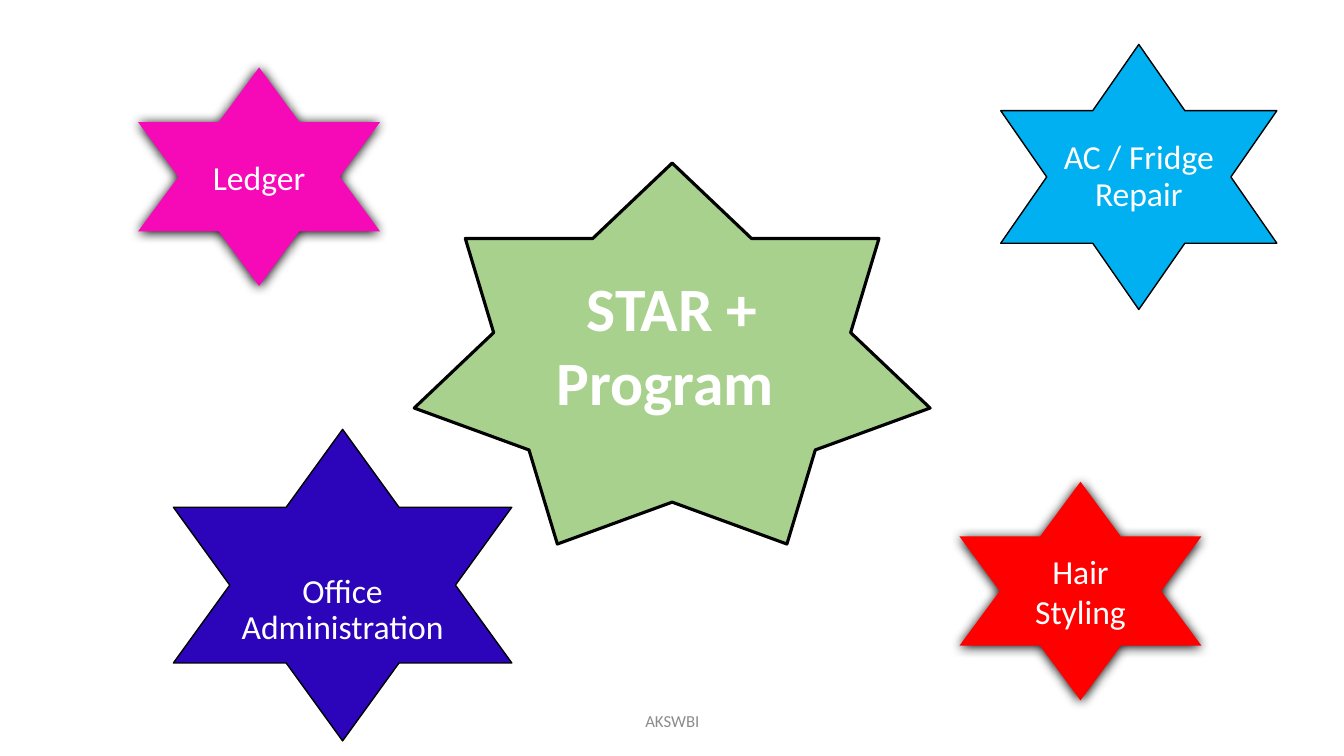
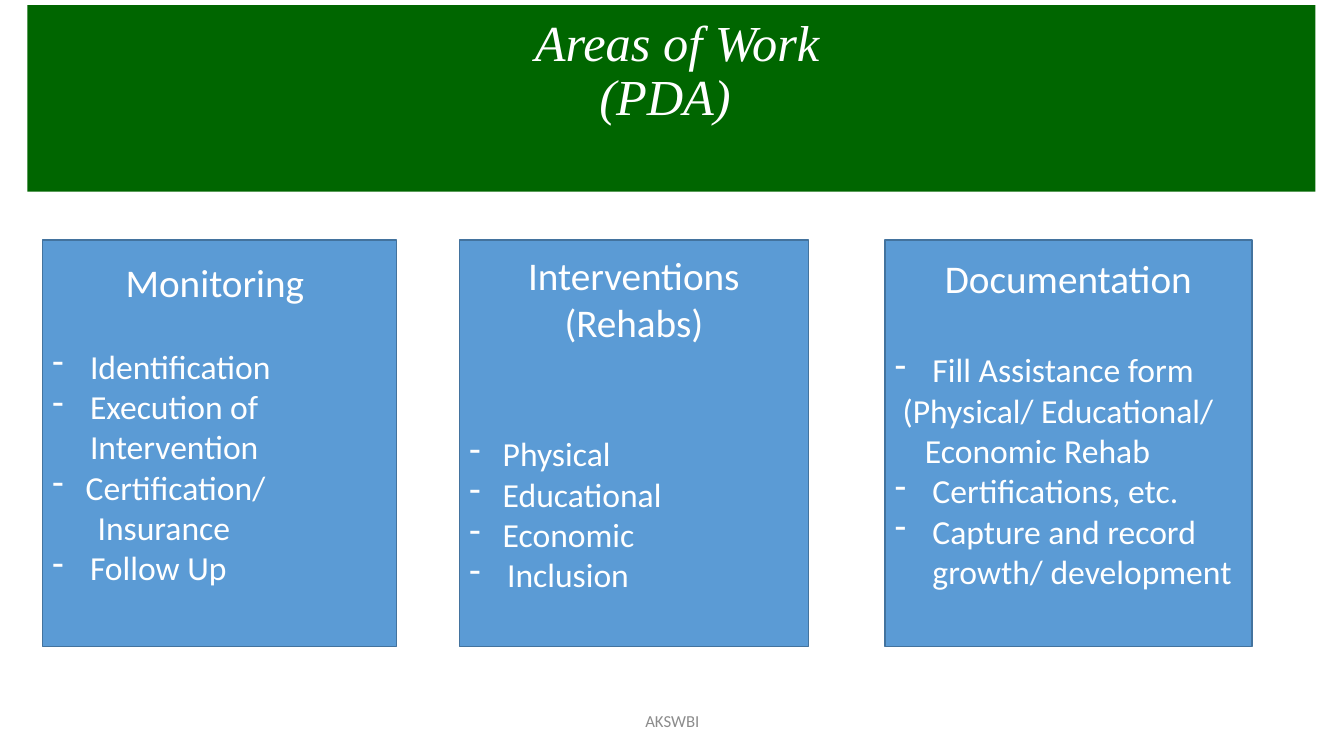
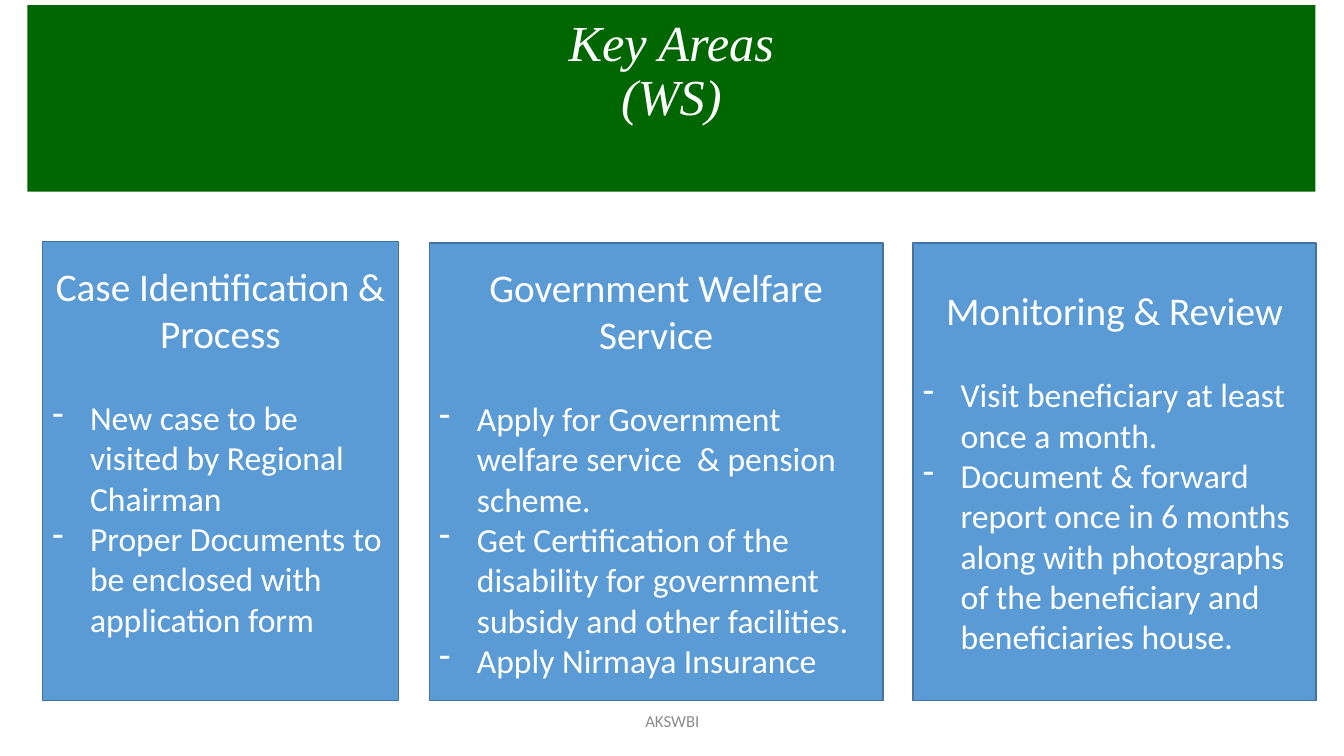
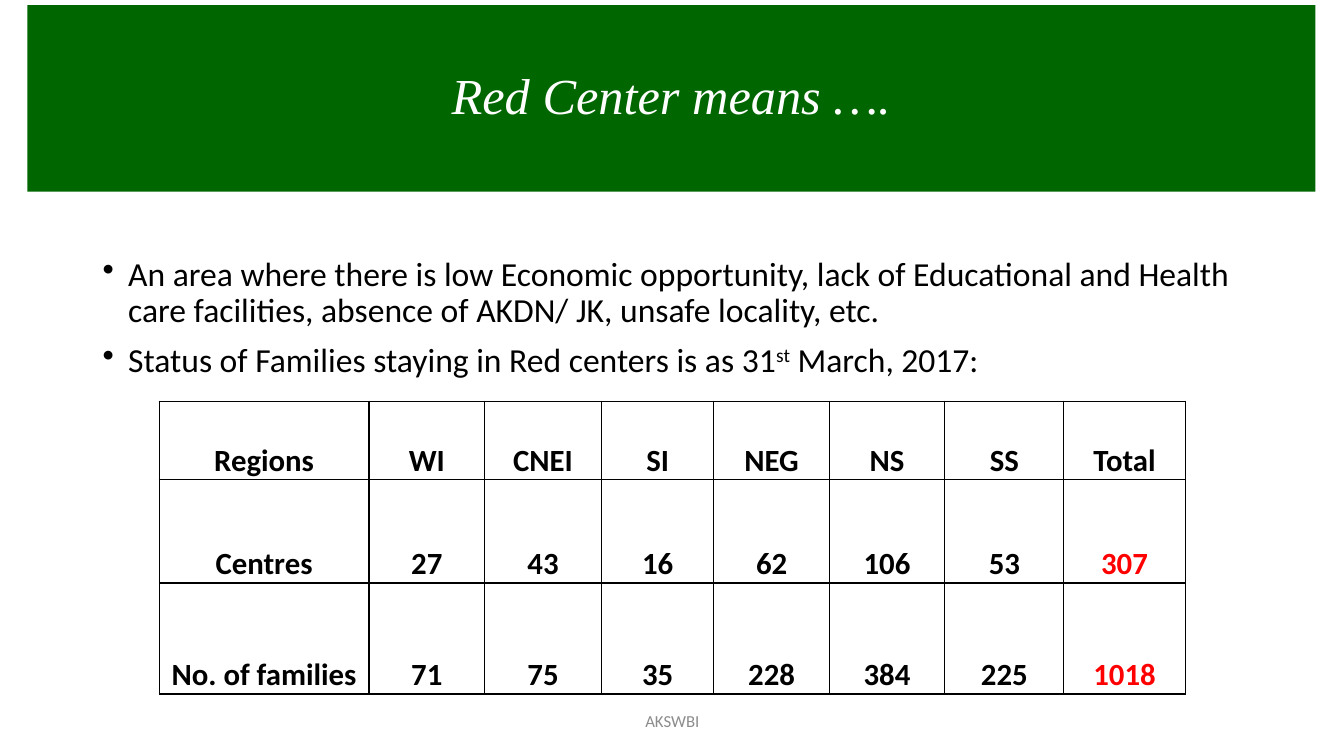
"""Build four slides on the STAR + program, areas of work and Red Centers."""
from typing import NamedTuple, Optional

from lxml.etree import SubElement
from pptx import Presentation
from pptx.dml.color import RGBColor
from pptx.enum.shapes import MSO_SHAPE
from pptx.enum.text import MSO_ANCHOR, PP_ALIGN
from pptx.oxml.ns import qn
from pptx.util import Cm, Pt

WHITE = RGBColor(0xFF, 0xFF, 0xFF)
BLACK = RGBColor(0x00, 0x00, 0x00)
RED = RGBColor(0xFF, 0x00, 0x00)
GREY = RGBColor(0x8C, 0x8C, 0x8C)
BAND_GREEN = RGBColor(0x00, 0x66, 0x00)
CARD_BLUE = RGBColor(0x5B, 0x9B, 0xD5)
CARD_EDGE = RGBColor(0x43, 0x73, 0x9E)
LEAF = RGBColor(0xA9, 0xD1, 0x8E)
PINK = RGBColor(0xF6, 0x0A, 0xB8)
SKY = RGBColor(0x00, 0xB0, 0xF0)
INDIGO = RGBColor(0x2C, 0x05, 0xBB)

BODY_FONT = "Calibri"
TITLE_FONT = "Times New Roman"
INSET = 0.13
HANGING = 0.95
TYPED_HANGING = 0.84
BLANK_LINE = 1.03


class Box(NamedTuple):
    left: float
    top: float
    width: float
    height: float


class Star(NamedTuple):
    text: str
    box: Box
    fill: RGBColor
    line_width: float = 0
    points: MSO_SHAPE = MSO_SHAPE.STAR_6_POINT
    size: float = 24
    bold: bool = False
    line_spacing: float = 1
    pad_top: float = INSET


class Item(NamedTuple):
    text: str
    indent: float = HANGING
    bullet: str = "-"


class Card(NamedTuple):
    headings: list[str]
    items: list[Item]
    box: Box
    gap: float = 29
    pad_bottom: float = INSET


FOOTER_BOX = Box(11.23, 17.65, 11.43, 1.02)
BAND_BOX = Box(0.69, 0.13, 32.46, 4.7)

STARS = [
    Star("STAR + Program ", Box(10.44, 4.11, 13, 9.6), LEAF, 2.25,
         MSO_SHAPE.STAR_7_POINT, 44, True),
    Star("Ledger", Box(3.48, 1.7, 6.1, 5.51), PINK),
    Star("AC / Fridge Repair", Box(25.22, 1.12, 6.96, 6.68), SKY, 1, line_spacing=0.9),
    Star("Office Administration", Box(4.37, 10.82, 8.53, 7.85), INDIGO, 1,
         line_spacing=0.9, pad_top=1.41),
    Star("Hair Styling", Box(24.18, 12.14, 6.1, 5.51), RED),
]

WORK_CARDS = [
    Card(["Monitoring "], [
        Item("Identification"),
        Item("Execution of Intervention"),
        Item("Certification/", TYPED_HANGING),
        Item("Insurance", 1.14, ""),
        Item("Follow Up"),
    ], Box(1.07, 6.05, 8.92, 10.24), pad_bottom=INSET + BLANK_LINE),
    Card(["Interventions", "(Rehabs)"], [
        Item("Physical", TYPED_HANGING),
        Item("Educational", TYPED_HANGING),
        Item("Economic", TYPED_HANGING),
        Item("Inclusion"),
    ], Box(11.58, 6.05, 8.79, 10.24), gap=63, pad_bottom=INSET + BLANK_LINE),
    Card(["Documentation"], [
        Item("Fill Assistance form"),
        Item("(Physical/ Educational/", 0.2, ""),
        Item("Economic Rehab", 0.76, ""),
        Item("Certifications, etc."),
        Item("Capture and record growth/ development"),
    ], Box(22.3, 6.05, 9.25, 10.24), gap=34, pad_bottom=INSET + BLANK_LINE),
]

KEY_CARDS = [
    Card(["Case Identification & Process"], [
        Item("New case to be visited by Regional Chairman"),
        Item("Proper Documents to be enclosed with application form"),
    ], Box(1.07, 6.08, 8.97, 11.58), pad_bottom=INSET + BLANK_LINE),
    Card(["Government Welfare Service"], [
        Item("Apply for Government welfare service  & pension scheme."),
        Item("Get Certification of the disability for government subsidy"
             " and other facilities."),
        Item("Apply Nirmaya Insurance"),
    ], Box(10.82, 6.12, 11.43, 11.53)),
    Card(["Monitoring & Review"], [
        Item("Visit beneficiary at least once a month."),
        Item("Document & forward report once in 6 months along with photographs"
             " of the beneficiary and beneficiaries house."),
    ], Box(23.01, 6.12, 10.16, 11.53)),
]

RED_CENTER_POINTS = [
    "An area where there is low Economic opportunity, lack of Educational and Health"
    " care facilities, absence of AKDN/ JK, unsafe locality, etc.",
    "Status of Families staying in Red centers is as 31^st^ March, 2017:",
]
REGION_ROWS = [
    ["Regions", "WI", "CNEI", "SI", "NEG", "NS", "SS", "Total"],
    ["Centres", "27", "43", "16", "62", "106", "53", "307"],
    ["No. of families", "71", "75", "35", "228", "384", "225", "1018"],
]
REGION_WIDTHS = [5.29, 2.91, 2.95, 2.83, 2.91, 2.91, 3, 3.06]
REGION_HEIGHTS = [1.98, 2.6, 2.8]


def place(box: Box) -> list[Cm]:
    """Return the four lengths of a box."""
    return [Cm(value) for value in box]


def add_text(frame, text: str, *, size: float = 24, color: RGBColor = WHITE,
             font: str = BODY_FONT, bold: bool = False, italic: bool = False,
             align: PP_ALIGN = PP_ALIGN.CENTER, line_spacing: float = 1,
             space_before: float = 0, indent: float = 0, bullet: str = "") -> None:
    """Add one paragraph to a frame; parts between carets are superscript."""
    first = frame.paragraphs[0]
    paragraph = frame.add_paragraph() if first.runs else first
    properties = paragraph._p.get_or_add_pPr()
    properties.set("marL", str(Cm(indent)))
    properties.set("indent", str(-Cm(indent) if bullet else 0))
    if bullet:
        SubElement(properties, qn("a:buChar")).set("char", bullet)
    else:
        SubElement(properties, qn("a:buNone"))
    paragraph.alignment = align
    paragraph.line_spacing = line_spacing
    paragraph.space_before = Pt(space_before)
    for position, part in enumerate(text.split("^")):
        run = paragraph.add_run()
        run.text = part
        run.font.name = font
        run.font.size = Pt(size)
        run.font.bold = bold
        run.font.italic = italic
        run.font.color.rgb = color
        if position % 2:
            run._r.get_or_add_rPr().set("baseline", "30000")


def add_panel(slide, kind: MSO_SHAPE, box: Box, fill: RGBColor,
              line: Optional[RGBColor] = None, line_width: float = 1,
              pad_top: float = INSET, pad_bottom: float = INSET):
    """Draw a filled shape with middle-anchored text and return it."""
    panel = slide.shapes.add_shape(kind, *place(box))
    panel.shadow.inherit = False
    panel.fill.solid()
    panel.fill.fore_color.rgb = fill
    if line is None:
        panel.line.fill.background()
    else:
        panel.line.color.rgb = line
        panel.line.width = Pt(line_width)
    frame = panel.text_frame
    frame.word_wrap = True
    frame.vertical_anchor = MSO_ANCHOR.MIDDLE
    frame.margin_top = Cm(pad_top)
    frame.margin_bottom = Cm(pad_bottom)
    return panel


def add_shadow(shape) -> None:
    """Give a shape a soft black shadow below it."""
    effects = shape._element.spPr.find(qn("a:effectLst"))
    shadow = SubElement(effects, qn("a:outerShdw"), blurRad=str(Pt(8.5)),
                        dist=str(Pt(1)), dir="5400000", algn="ctr", rotWithShape="0")
    SubElement(shadow, qn("a:srgbClr"), val=str(BLACK))


def add_star(slide, star: Star) -> None:
    """Draw a star, outlined when it has a line width and shadowed otherwise."""
    edge = BLACK if star.line_width else None
    panel = add_panel(slide, star.points, star.box, star.fill, edge, star.line_width,
                      pad_top=star.pad_top)
    if edge is None:
        add_shadow(panel)
    add_text(panel.text_frame, star.text, size=star.size, bold=star.bold,
             line_spacing=star.line_spacing)


def add_card(slide, card: Card) -> None:
    """Draw a blue card with its headings and list."""
    frame = add_panel(slide, MSO_SHAPE.RECTANGLE, card.box, CARD_BLUE, CARD_EDGE,
                      pad_bottom=card.pad_bottom).text_frame
    for heading in card.headings:
        add_text(frame, heading, size=28)
    for position, item in enumerate(card.items):
        add_text(frame, item.text, align=PP_ALIGN.LEFT, indent=item.indent,
                 bullet=item.bullet, space_before=0 if position else card.gap)


def add_title(slide, lines: list[str], pad_bottom: float = INSET) -> None:
    """Draw the green title band."""
    band = add_panel(slide, MSO_SHAPE.RECTANGLE, BAND_BOX, BAND_GREEN,
                     pad_bottom=pad_bottom)
    for line in lines:
        add_text(band.text_frame, line, size=36, font=TITLE_FONT, italic=True,
                 line_spacing=0.9)


def add_slide(deck):
    """Add a blank slide with the shared footer."""
    slide = deck.slides.add_slide(deck.slide_layouts[6])
    frame = slide.shapes.add_textbox(*place(FOOTER_BOX)).text_frame
    frame.word_wrap = True
    frame.vertical_anchor = MSO_ANCHOR.MIDDLE
    add_text(frame, "AKSWBI", size=12, color=GREY)
    return slide


def add_card_slide(deck, title: list[str], cards: list[Card]) -> None:
    """Add a slide with a two-line title and three cards."""
    slide = add_slide(deck)
    add_title(slide, title, pad_bottom=1.44)
    for card in cards:
        add_card(slide, card)


def add_borders(cell) -> None:
    """Draw thin black borders on all sides of a cell."""
    properties = cell._tc.get_or_add_tcPr()
    for position, side in enumerate(("a:lnL", "a:lnR", "a:lnT", "a:lnB")):
        border = properties.makeelement(qn(side), {"w": str(Pt(1))})
        properties.insert(position, border)
        solid = SubElement(border, qn("a:solidFill"))
        SubElement(solid, qn("a:srgbClr"), val=str(BLACK))


def add_region_table(slide) -> None:
    """Draw the table of centres and families by region."""
    box = Box(4.01, 10.11, sum(REGION_WIDTHS), sum(REGION_HEIGHTS))
    table = slide.shapes.add_table(len(REGION_ROWS), len(REGION_WIDTHS),
                                   *place(box)).table
    for column, width in zip(table.columns, REGION_WIDTHS):
        column.width = Cm(width)
    for row, height, values in zip(table.rows, REGION_HEIGHTS, REGION_ROWS):
        row.height = Cm(height)
        for cell, value in zip(row.cells, values):
            cell.fill.solid()
            cell.fill.fore_color.rgb = WHITE
            cell.vertical_anchor = MSO_ANCHOR.BOTTOM
            cell.margin_left = cell.margin_right = cell.margin_top = Cm(0.03)
            cell.margin_bottom = Cm(0)
            is_total = value == values[-1] and values is not REGION_ROWS[0]
            add_text(cell.text_frame, value, size=22, bold=True,
                     color=RED if is_total else BLACK)
            add_borders(cell)


def add_red_center_slide(deck) -> None:
    """Add the slide that explains Red Centers."""
    slide = add_slide(deck)
    add_title(slide, ["Red Center means …."])
    frame = slide.shapes.add_textbox(*place(Box(2.34, 6.36, 29.21, 3.6))).text_frame
    frame.word_wrap = True
    for position, point in enumerate(RED_CENTER_POINTS):
        add_text(frame, point, color=BLACK, align=PP_ALIGN.LEFT, line_spacing=0.9,
                 space_before=10 if position else 0, indent=0.64, bullet="•")
    add_region_table(slide)


def main() -> None:
    """Build and save the deck."""
    deck = Presentation()
    deck.slide_width, deck.slide_height = Cm(33.87), Cm(19.05)
    star_slide = add_slide(deck)
    for star in STARS:
        add_star(star_slide, star)
    add_card_slide(deck, [" Areas of Work", "(PDA) "], WORK_CARDS)
    add_card_slide(deck, ["Key Areas", "(WS)"], KEY_CARDS)
    add_red_center_slide(deck)
    deck.save("out.pptx")


if __name__ == "__main__":
    main()
